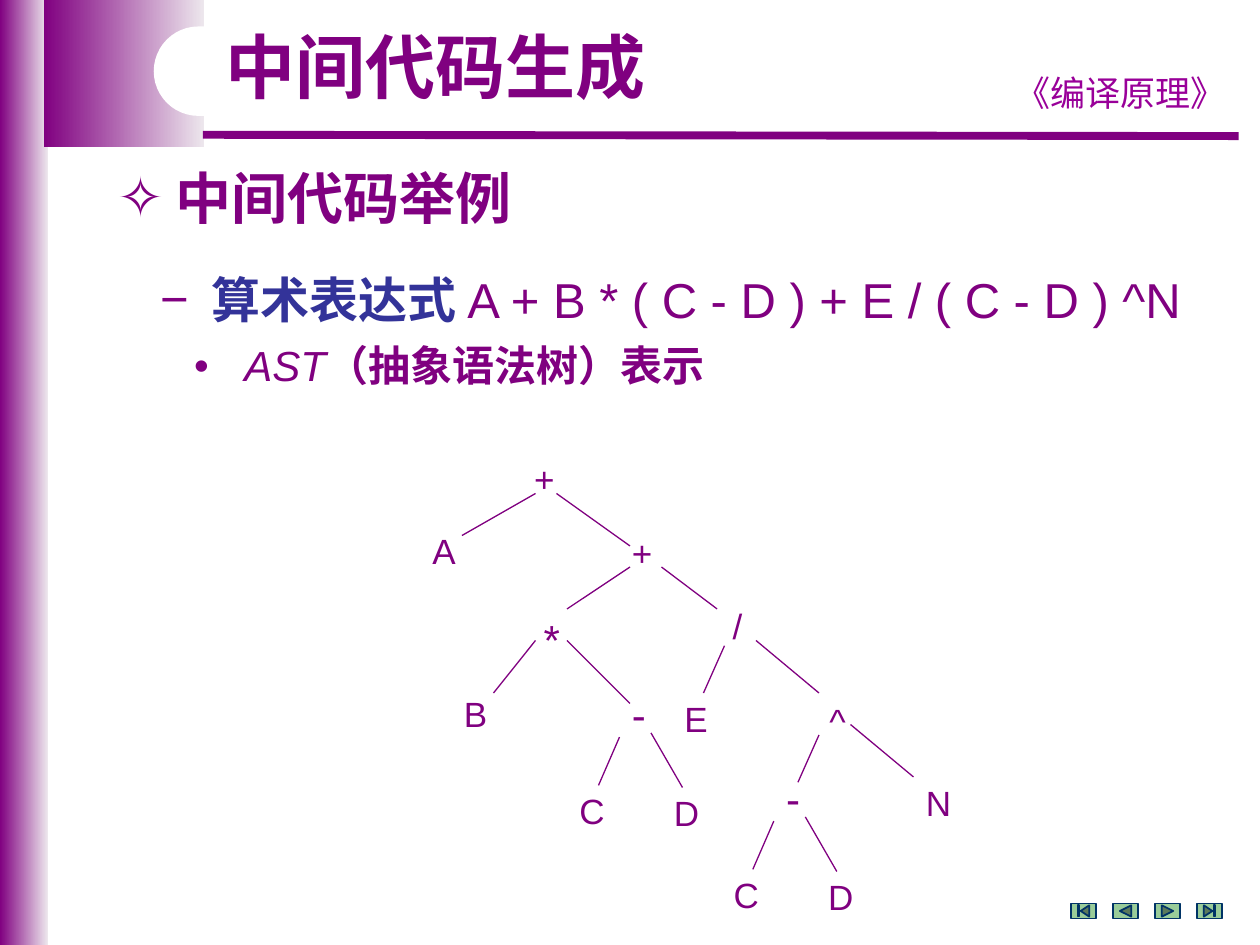
from lxml import etree
from pptx import Presentation
from pptx import util as u
from pptx.dml.color import RGBColor
from pptx.enum import shapes, text
from pptx.oxml import ns

PLUM = RGBColor(0x80, 0x00, 0x80)
PALE = RGBColor(0xED, 0xE7, 0xED)
PINK = RGBColor(0x99, 0x00, 0x99)
BLUE = RGBColor(0x33, 0x33, 0x99)
GREEN = RGBColor(0x99, 0xCC, 0x99)
NAVY = RGBColor(0x00, 0x33, 0x66)
WHITE = RGBColor(0xFF, 0xFF, 0xFF)
LATIN, HAN = "Arial", "Noto Sans CJK SC"
CELL = 1 / 12

TITLE = [("中间代码生成", 40, PLUM, True, False)]
HEAD = [("✧", 0.46, 0.46, 0, [("中间代码举例", 32, PLUM, True, False)])]
BODY = [
    ("−", 0.41, 0.41, 0, [
        ("算术表达式 ", 28, BLUE, True, False),
        ("A + B * ( C - D ) + E / ( C - D ) ^N", 28, PLUM, False, False)]),
    ("•", 0.67, 0.4, 9.5, [
        ("AST", 24, PLUM, False, True),
        ("（抽象语法树）表示", 24, PLUM, True, False)]),
]
NODES = [
    ("+", 49.7, 43, 5.3, 20), ("A", 40, 49.8, 5, 20),
    ("+", 59, 50, 5, 20), ("*", 50.6, 57.8, 4.4, 24),
    ("/", 68.6, 57, 4.4, 20), ("B", 43, 65.4, 5, 20),
    ("E", 64, 65.8, 5, 20), ("^", 77.8, 66, 6.2, 20),
    ("N", 87, 73.8, 5, 20),
]
EDGES = [
    (51, 47, 44, 51), (53, 47, 60, 52), (60, 54, 54, 58),
    (63, 54, 68.3, 58), (51, 61, 47, 66), (54, 61, 60, 67),
    (69, 61.5, 67, 66), (72, 61, 78, 66), (78, 70, 76, 74.5),
    (81, 69, 87, 74),
]
MINUS = [("-", 0, 0, 5, 24), ("C", -5, 9.6, 5, 20), ("D", 4, 9.8, 6.2, 20)]
FORK = [(0, 5.2, -2, 9.8), (3, 4.8, 6, 10)]
ROOTS = [(59, 65), (73.7, 73)]
NAV = ["BEGINNING", "BACK_OR_PREVIOUS", "FORWARD_OR_NEXT", "END"]

deck = Presentation()
deck.slide_width, deck.slide_height = u.Inches(10), u.Inches(7.5)
slide = deck.slides.add_slide(deck.slide_layouts[3])
tree = slide.shapes


def place(item, left, top, wide, high):
    item.left, item.top = u.Inches(left), u.Inches(top)
    item.width, item.height = u.Inches(wide), u.Inches(high)


def style(run, size, color, bold=False, slant=False, face=LATIN):
    font = run.font
    font.size, font.name = u.Pt(size), face
    font.bold, font.italic = bold, slant
    font.color.rgb = color
    east = etree.SubElement(run._r.get_or_add_rPr(), ns.qn("a:ea"))
    east.set("typeface", HAN if face == LATIN else face)


def write(par, runs):
    for words, *look in runs:
        run = par.add_run()
        run.text = words
        style(run, *look)


def shape(kind, box, fill):
    item = tree.add_shape(kind, *map(u.Inches, box))
    item.shadow.inherit = False
    item.line.fill.background()
    if fill is None:
        item.fill.gradient()
        item.fill.gradient_angle = 0
        for stop, color in zip(item.fill.gradient_stops, (PLUM, PALE)):
            stop.color.rgb = color
        for stop, spot in zip(item.fill.gradient_stops, (0, 1)):
            stop.position = spot
    else:
        item.fill.solid()
        item.fill.fore_color.rgb = fill
    return item


def line(ends, width):
    item = tree.add_connector(shapes.MSO_CONNECTOR.STRAIGHT, *map(u.Inches, ends))
    item.line.color.rgb = PLUM
    item.line.width = u.Pt(width)
    etree.SubElement(item._element.spPr, ns.qn("a:effectLst"))


def label(words, box, size, color, face=LATIN):
    frame = tree.add_textbox(*map(u.Inches, box)).text_frame
    frame.word_wrap = True
    frame.text = words
    style(frame.paragraphs[0].runs[0], size, color, face=face)
    return frame.paragraphs[0]


def fill_list(item, rows):
    frame = item.text_frame
    frame.word_wrap = True
    for num, (mark, margin, hang, gap, runs) in enumerate(rows):
        par = frame.add_paragraph() if num else frame.paragraphs[0]
        par.level = num
        par.line_spacing = 0.9
        par.space_before = u.Pt(gap)
        props = par._p.get_or_add_pPr()
        props.set("marL", str(u.Inches(margin)))
        props.set("indent", str(-u.Inches(hang)))
        tint = etree.SubElement(props, ns.qn("a:buClr"))
        etree.SubElement(tint, ns.qn("a:srgbClr")).set("val", str(PLUM))
        etree.SubElement(props, ns.qn("a:buFont")).set("typeface", LATIN)
        etree.SubElement(props, ns.qn("a:buChar")).set("char", mark)
        write(par, runs)


kinds = shapes.MSO_SHAPE
title, head, body = list(slide.placeholders)
shape(kinds.RECTANGLE, (0, 0, 0.38, 7.5), None)
shape(kinds.RECTANGLE, (0.35, 0, 1.27, 1.17), None)
line((1.61, 1.07, 9.83, 1.08), 4.5)
book = label("《编译原理》", (7.91, 0.52, 1.97, 0.43), 20, PINK, "Comic Neue")
book.alignment = text.PP_ALIGN.CENTER
notch = shape(kinds.ROUNDED_RECTANGLE, (1.22, 0.21, 3.62, 0.71), WHITE)
notch.adjustments[0] = 0.5

place(title, 1.69, 0.21, 3.56, 0.7)
place(body, 1.17, 2.14, 8.58, 1.13)
place(head, 0.83, 1.31, 7.8, 0.63)
for item in (title, body, head):
    tree._spTree.append(item._element)
title.text_frame.vertical_anchor = text.MSO_ANCHOR.MIDDLE
first = title.text_frame.paragraphs[0]
first.alignment = text.PP_ALIGN.LEFT
first.line_spacing = 0.9
write(first, TITLE)
fill_list(body, BODY)
fill_list(head, HEAD)

for num, name in enumerate(NAV):
    key = shape(getattr(kinds, "ACTION_BUTTON_" + name),
                (8.5 + num / 3, 7.17, 0.2, 0.12), GREEN)
    key.line.color.rgb = NAVY
    key.line.width = u.Pt(1)

nodes, edges = list(NODES), list(EDGES)
for x, y in ROOTS:
    nodes += [(sign, x + dx, y + dy, wide, size) for sign, dx, dy, wide, size in MINUS]
    edges += [(x + a, y + b, x + c, y + d) for a, b, c, d in FORK]
for sign, x, y, wide, size in nodes:
    high = 0.5 if size == 24 else 0.43
    label(sign, (x * CELL, y * CELL, wide * CELL, high), size, PLUM)
for ends in edges:
    line([end * CELL for end in ends], 0.75)

deck.save("out.pptx")
